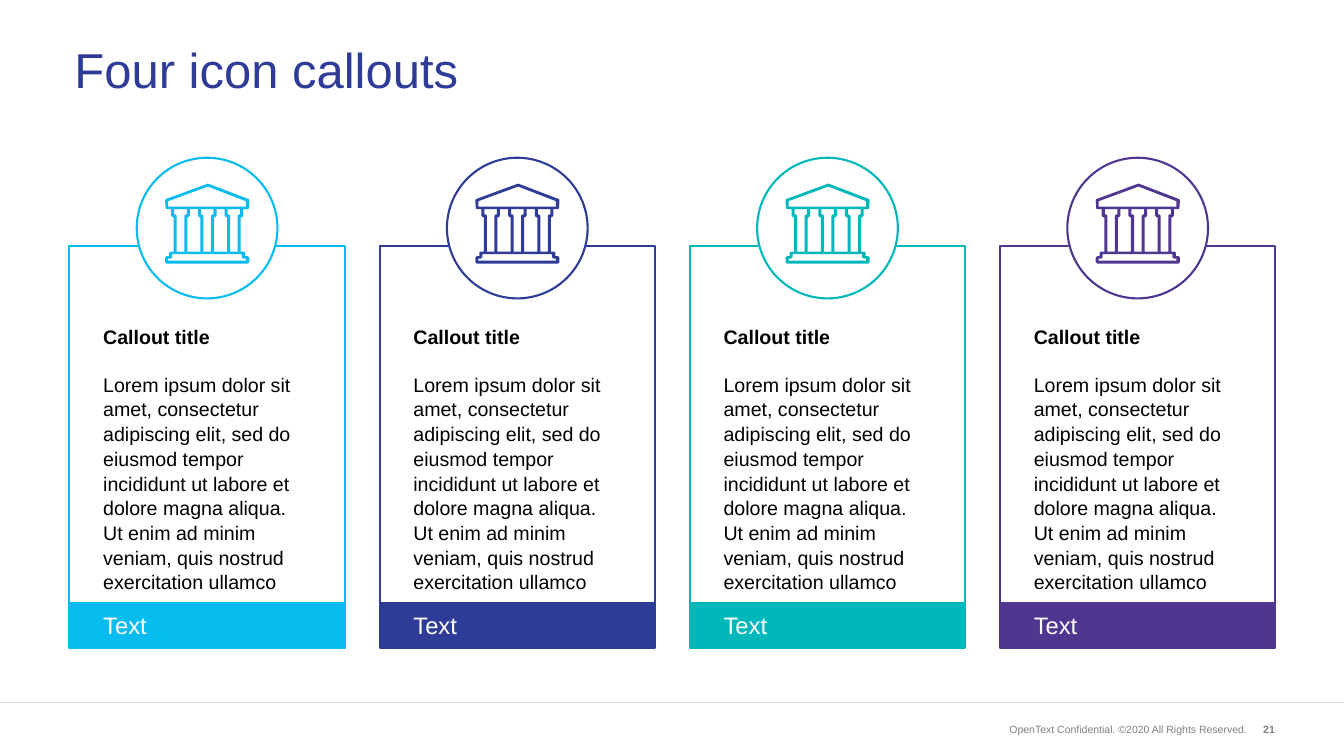
from lxml import etree
from pptx import Presentation
from pptx.dml.color import RGBColor
from pptx.enum.shapes import MSO_CONNECTOR as Connector, MSO_SHAPE as Preset
from pptx.enum.text import MSO_ANCHOR as Anchor, PP_ALIGN as Align
from pptx.oxml.ns import qn
from pptx.util import Cm, Pt

COLORS = {
    "sky": "09BCEF", "navy": "2E3C98", "teal": "00B8BA", "purple": "4F3690",
    "white": "FFFFFF", "black": "000000", "grey": "808080", "rule": "D9D9D9",
}
FONT = "Arial"
CARD_COLORS = ["sky", "navy", "teal", "purple"]
CARD_PITCH = 15.63
BODY = (
    "Lorem ipsum dolor sit amet, consectetur adipiscing elit, sed do eiusmod "
    "tempor incididunt ut labore et dolore magna aliqua. Ut enim ad minim "
    "veniam, quis nostrud exercitation ullamco"
)
ICON_UNIT = Cm(0.0254)


def color(name):
    return RGBColor.from_string(COLORS[name])


def write(paragraph, text, size, color_name, bold=False, align=Align.LEFT):
    paragraph.text = text
    paragraph.alignment = align
    for run in paragraph.runs:
        run.font.name = FONT
        run.font.size = Pt(size)
        run.font.bold = bold
        run.font.color.rgb = color(color_name)


def set_frame(text_frame, insets, anchor=Anchor.TOP):
    """Insets are left, top, right and bottom in centimetres."""
    text_frame.word_wrap = True
    text_frame.vertical_anchor = anchor
    (text_frame.margin_left, text_frame.margin_top,
     text_frame.margin_right, text_frame.margin_bottom) = map(Cm, insets)


def add_text(slide, box, text, size, color_name, anchor=Anchor.TOP, **style):
    shape = slide.shapes.add_textbox(*map(Cm, box))
    set_frame(shape.text_frame, (0.25, 0.13, 0.25, 0.13), anchor)
    paragraph = shape.text_frame.paragraphs[0]
    write(paragraph, text, size, color_name, **style)
    return paragraph


def add_outlined(shapes, preset, box, line, fill=None):
    shape = shapes.add_shape(preset, *map(Cm, box))
    shape.shadow.inherit = False
    if fill:
        shape.fill.solid()
        shape.fill.fore_color.rgb = color(fill)
    else:
        shape.fill.background()
    shape.line.color.rgb = color(line)
    shape.line.width = Pt(3)
    return shape


def mirrored(half, center):
    """Close a left half, given as offsets from its axis, with its mirror."""
    left = [(center + x, y) for x, y in half]
    right = [(center - x, y) for x, y in reversed(half)]
    return left + right


def temple_contours():
    """Outer edge of the temple icon, then its openings, in icon units."""
    edge = [(-82.5, 31), (-83.5, 34), (-82.5, 49), (-80.5, 51), (-71.5, 51),
            (-71.5, 64), (-68.5, 67), (-66.5, 67), (-66.5, 135),
            (-72.5, 135), (-75.5, 137), (-75.5, 144), (-80.5, 144),
            (-83.5, 147), (-83.5, 156), (-80.5, 159)]
    column = [(-12.5, 51), (-12.5, 61), (-10, 61), (-7.5, 64), (-7.5, 135)]
    gap = [(-8, 51), (-8, 64), (-11, 67), (-13, 67), (-13, 135)]
    steps = [(-69, 140), (-69, 146), (-72, 149), (-77, 149), (-77, 153)]
    roof = [(6, 35), (85, 6), (160, 35), (160, 46), (6, 46)]
    columns = [mirrored(column, 83.5 + 52.75 * i) for i in (-1, 0, 1)]
    gaps = [mirrored(gap, 83.5 + 26.3 * side) for side in (-1, 1)]
    return [[(85, 0)] + mirrored(edge, 83.5), roof,
            mirrored(steps, 83), *columns, *gaps]


def add_temple_icon(shapes, left, top, color_name):
    contours = temple_contours()
    builder = shapes.build_freeform(*contours[0][0], scale=ICON_UNIT)
    for index, points in enumerate(contours):
        if index:
            builder.move_to(*points[0])
        builder.add_line_segments(points[1:], close=True)
    icon = builder.convert_to_shape(Cm(left), Cm(top))
    icon.shadow.inherit = False
    icon.fill.solid()
    icon.fill.fore_color.rgb = color(color_name)
    icon.line.fill.background()


def add_callout(slide, box, color_name):
    left, top, width, height = box
    shapes = slide.shapes.add_group_shape().shapes
    bar_height, circle_size, card_offset = 2.26, 7.09, 4.45

    # Framed card with title and body
    card = add_outlined(shapes, Preset.RECTANGLE,
                        (left, top + card_offset, width, 18.34), color_name)
    frame = card.text_frame
    set_frame(frame, (1.7, 3.91, 1.7, 0.13))
    write(frame.paragraphs[0], "Callout title", 28, "black", bold=True)
    body = frame.add_paragraph()
    write(body, BODY, 28, "black")
    body.space_before = Pt(33)
    for paragraph in frame.paragraphs:
        paragraph.line_spacing = 1.05

    # Label bar at the foot
    bar = add_outlined(shapes, Preset.RECTANGLE,
                       (left, top + height - bar_height, width, bar_height),
                       color_name, color_name)
    set_frame(bar.text_frame, (1.7, 0.41, 0.25, 0.41))
    write(bar.text_frame.paragraphs[0], "Text", 34, "white")

    # Icon in a circle on the top edge
    circle_left = left + (width - circle_size) / 2
    add_outlined(shapes, Preset.OVAL,
                 (circle_left, top, circle_size, circle_size),
                 color_name, "white")
    add_temple_icon(shapes, circle_left + 1.43, top + 1.3, color_name)


def add_footer(slide, box):
    left, top, width, height = box
    right = left + width
    rule = slide.shapes.add_connector(
        Connector.STRAIGHT, Cm(left), Cm(top), Cm(right), Cm(top))
    rule.line.color.rgb = color("rule")
    rule.line.width = Pt(1)
    etree.SubElement(rule._element.spPr, qn("a:effectLst"))

    text_top = top + 0.91
    add_text(slide, (right - 18.27, text_top, 13.64, 0.89),
             "OpenText Confidential. ©2020 All Rights Reserved.", 15, "grey",
             Anchor.MIDDLE, align=Align.RIGHT)
    add_text(slide, (right - 5.03, text_top, 1.8, 0.89), "21", 15, "grey",
             bold=True, align=Align.RIGHT)


def main():
    presentation = Presentation()
    presentation.slide_width = Cm(67.72)
    presentation.slide_height = Cm(38.1)
    slide = presentation.slides.add_slide(presentation.slide_layouts[6])

    add_footer(slide, (0, 35.41, 67.72, 2.69))
    title = add_text(slide, (3.5, 0.97, 60.73, 5.38), "Four icon callouts",
                     70, "navy", Anchor.MIDDLE)
    title.line_spacing = 0.9
    for index, color_name in enumerate(CARD_COLORS):
        add_callout(slide, (3.5 + index * CARD_PITCH, 7.95, 13.87, 24.69),
                    color_name)

    presentation.save("out.pptx")


if __name__ == "__main__":
    main()
